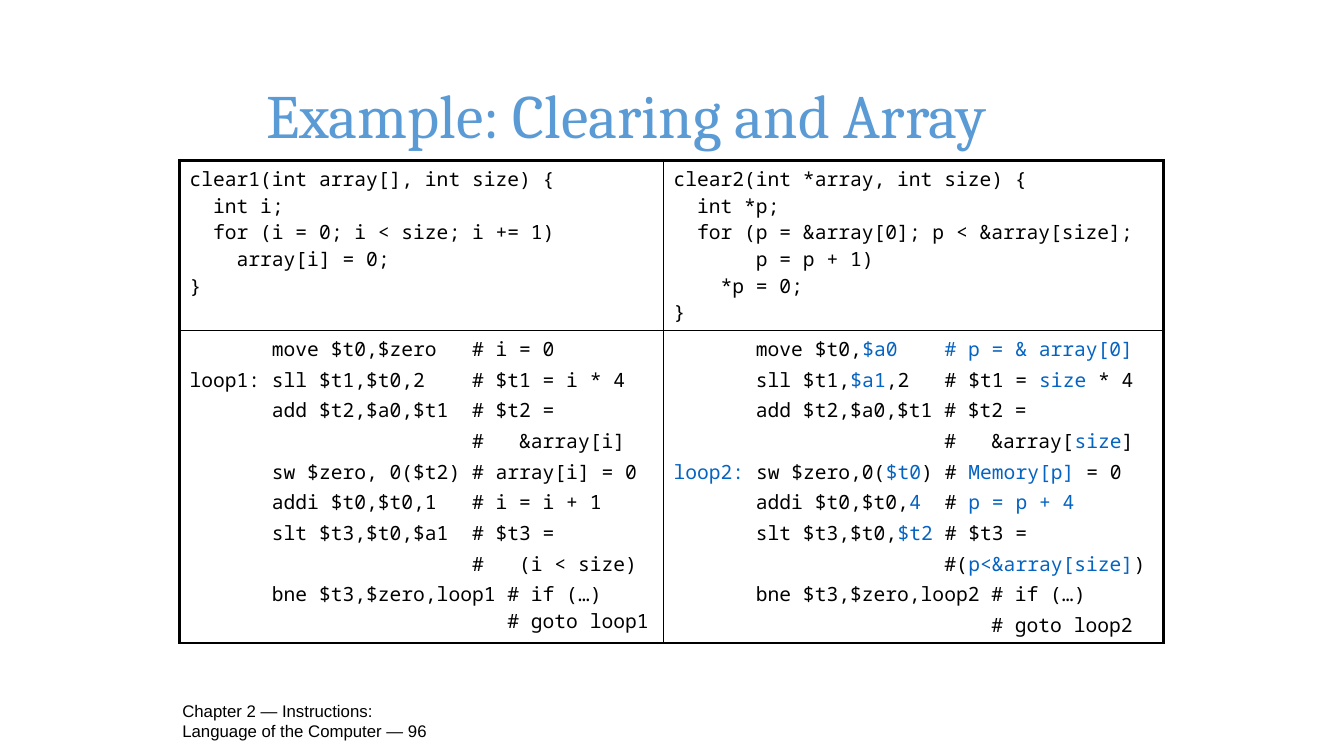
from dataclasses import dataclass

from lxml import etree
from pptx import Presentation
from pptx.dml.color import RGBColor
from pptx.enum.text import MSO_ANCHOR
from pptx.oxml.ns import qn
from pptx.util import Inches, Pt

MIDDLE = MSO_ANCHOR.MIDDLE
ACCENT_MARK = "~"


@dataclass(frozen=True)
class Theme:
    ink: str = "000000"
    paper: str = "FFFFFF"
    title: str = "5B9BD5"
    accent: str = "0563C1"
    title_font: str = "Cambria"
    footer_font: str = "Arial"
    code_font: str = "Noto Sans Mono"
    title_size: float = 44
    footer_size: float = 12
    code_size: float = 14
    code_gap: float = 2.8
    outer_line: float = 2.25
    inner_line: float = 1


ARRAY_C = """clear1(int array[], int size) {
  int i;
  for (i = 0; i < size; i += 1)
    array[i] = 0;
}"""

POINTER_C = """clear2(int *array, int size) {
  int *p;
  for (p = &array[0]; p < &array[size];
       p = p + 1)
    *p = 0;
}"""

ARRAY_ASM = """       move $t0,$zero   # i = 0
loop1: sll $t1,$t0,2    # $t1 = i * 4
       add $t2,$a0,$t1  # $t2 =
                        #   &array[i]
       sw $zero, 0($t2) # array[i] = 0
       addi $t0,$t0,1   # i = i + 1
       slt $t3,$t0,$a1  # $t3 =
                        #   (i < size)
       bne $t3,$zero,loop1 # if (…)\v                           # goto loop1"""

POINTER_ASM = """       move $t0,~$a0    # p = & array[0]~
       sll $t1,~$a1~,2   # $t1 = ~size~ * 4
       add $t2,$a0,$t1 # $t2 =
                       #   &array[~size~]
~loop2:~ sw $zero,0(~$t0~) # ~Memory[p]~ = 0
       addi $t0,$t0,~4~  # ~p = p + 4~
       slt $t3,$t0,~$t2~ # $t3 =
                       #(~p<&array[size]~)
       bne $t3,$zero,loop2 # if (…)
                           # goto loop2"""


class SlideBuilder:
    def __init__(self, slide, theme):
        self.slide = slide
        self.theme = theme

    def run(self, paragraph, wording, font, size, color):
        run = paragraph.add_run()
        run.text = wording
        run.font.name = font
        run.font.size = Pt(size)
        run.font.color.rgb = RGBColor.from_string(color)

    def text(self, wording, left, top, width, height, font, size, color):
        box = self.slide.shapes.add_textbox(
            Inches(left), Inches(top), Inches(width), Inches(height))
        frame = box.text_frame
        frame.word_wrap = True
        frame.vertical_anchor = MIDDLE
        self.run(frame.paragraphs[0], wording, font, size, color)

    def line_break(self, paragraph):
        paragraph.add_line_break()
        props = etree.SubElement(paragraph._p[-1], qn("a:rPr"))
        props.set("sz", str(int(self.theme.code_size * 100)))
        etree.SubElement(props, qn("a:latin")).set("typeface", self.theme.code_font)

    def code(self, frame, listing, gap):
        theme = self.theme
        for number, line in enumerate(listing.split("\n")):
            paragraph = frame.add_paragraph() if number else frame.paragraphs[0]
            paragraph.space_before = Pt(gap)
            for row, segment in enumerate(line.split("\v")):
                if row:
                    self.line_break(paragraph)
                for index, part in enumerate(segment.split(ACCENT_MARK)):
                    if part:
                        color = theme.accent if index % 2 else theme.ink
                        self.run(paragraph, part, theme.code_font, theme.code_size, color)

    def borders(self, cell, outer_sides):
        props = cell._tc.get_or_add_tcPr()
        for position, side in enumerate("LRTB"):
            weight = self.theme.outer_line if side in outer_sides else self.theme.inner_line
            line = etree.Element(qn(f"a:ln{side}"), w=str(int(Pt(weight))))
            fill = etree.SubElement(line, qn("a:solidFill"))
            etree.SubElement(fill, qn("a:srgbClr")).set("val", self.theme.ink)
            props.insert(position, line)

    def code_table(self, listings, left, top, widths, heights, gaps):
        table = self.slide.shapes.add_table(
            len(heights), len(widths), Inches(left), Inches(top),
            Inches(sum(widths)), Inches(sum(heights))).table
        table.first_row = False
        table.horz_banding = False
        for column, width in zip(table.columns, widths):
            column.width = Inches(width)
        for r, height in enumerate(heights):
            table.rows[r].height = Inches(height)
            for c, listing in enumerate(listings[r]):
                cell = table.cell(r, c)
                cell.fill.solid()
                cell.fill.fore_color.rgb = RGBColor.from_string(self.theme.paper)
                self.borders(cell, "LR"[c] + "TB"[r])
                self.code(cell.text_frame, listing, gaps[r])


def main():
    theme = Theme()
    deck = Presentation()
    deck.slide_width = Inches(13.33)
    deck.slide_height = Inches(7.5)
    builder = SlideBuilder(deck.slides.add_slide(deck.slide_layouts[6]), theme)
    builder.text("Chapter 2 — Instructions: Language of the Computer — 96",
                 1.71, 6.95, 2.79, 0.4, theme.footer_font, theme.footer_size, theme.ink)
    builder.text("Example: Clearing and Array",
                 2.54, 0.4, 9.88, 1.45, theme.title_font, theme.title_size, theme.title)
    builder.code_table([[ARRAY_C, POINTER_C], [ARRAY_ASM, POINTER_ASM]],
                       1.78, 1.59, [4.8, 4.96], [1.69, 3.1], [0, theme.code_gap])
    deck.save("out.pptx")


if __name__ == "__main__":
    main()
